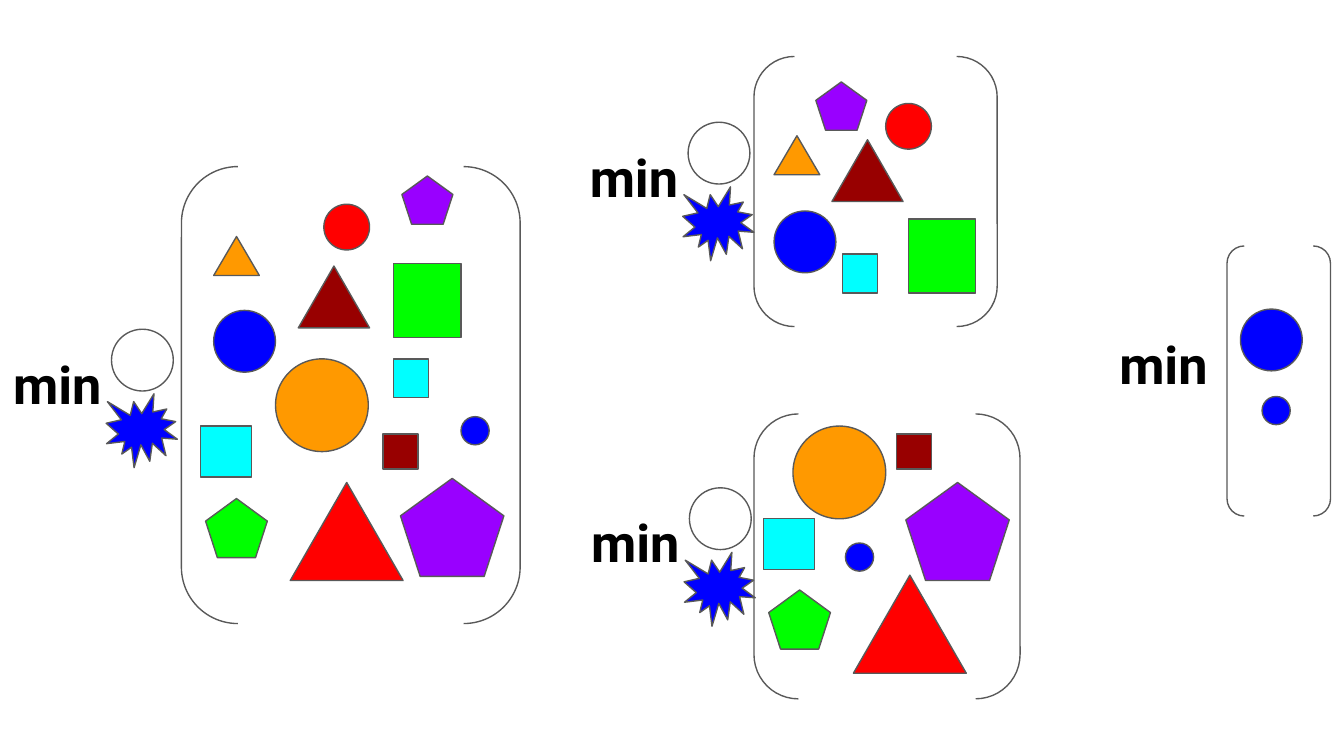
from dataclasses import dataclass
from typing import NamedTuple

from pptx import Presentation
from pptx.dml.color import RGBColor
from pptx.enum.shapes import MSO_SHAPE
from pptx.enum.text import MSO_ANCHOR, PP_ALIGN
from pptx.util import Inches, Pt


@dataclass(frozen=True)
class Theme:
    font: str = "Roboto"
    label_size: float = 28
    line_width: float = 0.75
    black: str = "000000"
    outline: str = "595959"
    maroon: str = "980000"
    red: str = "FF0000"
    orange: str = "FF9900"
    blue: str = "0000FF"
    green: str = "00FF00"
    cyan: str = "00FFFF"
    purple: str = "9900FF"


class Piece(NamedTuple):
    kind: MSO_SHAPE
    w: float
    h: float
    fill: str | None = None


class Spot(NamedTuple):
    piece: Piece
    x: float
    y: float


class Group(NamedTuple):
    bracket: tuple[float, float, float, float]
    label: tuple[float, float]
    has_criterion: bool
    spots: list[Spot]


T = Theme()

# Pieces, each used in one or more groups
RED_DOT = Piece(MSO_SHAPE.OVAL, 0.34, 0.34, T.red)
BLUE_DOT = Piece(MSO_SHAPE.OVAL, 0.46, 0.46, T.blue)
SMALL_DOT = Piece(MSO_SHAPE.OVAL, 0.21, 0.21, T.blue)
ORANGE_DOT = Piece(MSO_SHAPE.OVAL, 0.69, 0.69, T.orange)
ORANGE_TRI = Piece(MSO_SHAPE.ISOSCELES_TRIANGLE, 0.34, 0.29, T.orange)
MAROON_TRI = Piece(MSO_SHAPE.ISOSCELES_TRIANGLE, 0.53, 0.46, T.maroon)
RED_TRI = Piece(MSO_SHAPE.ISOSCELES_TRIANGLE, 0.84, 0.73, T.red)
MAROON_BOX = Piece(MSO_SHAPE.RECTANGLE, 0.26, 0.26, T.maroon)
GREEN_BOX = Piece(MSO_SHAPE.RECTANGLE, 0.5, 0.55, T.green)
CYAN_BOX = Piece(MSO_SHAPE.RECTANGLE, 0.38, 0.38, T.cyan)
SMALL_CYAN = Piece(MSO_SHAPE.RECTANGLE, 0.26, 0.29, T.cyan)
GREEN_PENT = Piece(MSO_SHAPE.REGULAR_PENTAGON, 0.46, 0.44, T.green)
PURPLE_PENT = Piece(MSO_SHAPE.REGULAR_PENTAGON, 0.77, 0.73, T.purple)
SMALL_PENT = Piece(MSO_SHAPE.REGULAR_PENTAGON, 0.38, 0.36, T.purple)

# The criterion beside a label: any circle, blue
ANY_CIRCLE = Piece(MSO_SHAPE.OVAL, 0.46, 0.46)
BLUE_SPLASH = Piece(MSO_SHAPE.EXPLOSION1, 0.53, 0.55, T.blue)

GROUPS = [
    # Whole set
    Group((1.35, 1.24, 2.52, 3.4), (0, 2.52), True, [
        Spot(MAROON_BOX, 2.85, 3.23), Spot(RED_DOT, 2.41, 1.52),
        Spot(ORANGE_TRI, 1.59, 1.76), Spot(BLUE_DOT, 1.59, 2.31),
        Spot(SMALL_DOT, 3.43, 3.1), Spot(RED_TRI, 2.16, 3.59),
        Spot(MAROON_TRI, 2.22, 1.98), Spot(GREEN_BOX, 2.93, 1.96),
        Spot(CYAN_BOX, 1.49, 3.17), Spot(ORANGE_DOT, 2.05, 2.67),
        Spot(SMALL_CYAN, 2.93, 2.67), Spot(GREEN_PENT, 1.53, 3.71),
        Spot(PURPLE_PENT, 2.98, 3.56), Spot(SMALL_PENT, 2.99, 1.31),
    ]),
    # Upper half
    Group((5.61, 0.42, 1.81, 2.01), (4.29, 0.98), True, [
        Spot(RED_DOT, 6.59, 0.77), Spot(ORANGE_TRI, 5.76, 1.01),
        Spot(BLUE_DOT, 5.76, 1.57), Spot(MAROON_TRI, 6.19, 1.04),
        Spot(GREEN_BOX, 6.76, 1.63), Spot(SMALL_CYAN, 6.27, 1.89),
        Spot(SMALL_PENT, 6.07, 0.61),
    ]),
    # Lower half
    Group((5.61, 3.08, 1.98, 2.12), (4.3, 3.7), True, [
        Spot(MAROON_BOX, 6.67, 3.23), Spot(SMALL_DOT, 6.29, 4.04),
        Spot(RED_TRI, 6.35, 4.28), Spot(CYAN_BOX, 5.68, 3.86),
        Spot(ORANGE_DOT, 5.9, 3.17), Spot(GREEN_PENT, 5.72, 4.39),
        Spot(PURPLE_PENT, 6.74, 3.59),
    ]),
    # Results of the two halves
    Group((9.13, 1.83, 0.77, 2.01), (8.23, 2.37), False, [
        Spot(SMALL_DOT, 9.39, 2.95), Spot(BLUE_DOT, 9.23, 2.3),
    ]),
]


def add_piece(s, piece: Piece, x: float, y: float) -> None:
    sp = s.shapes.add_shape(piece.kind, Inches(x), Inches(y),
                            Inches(piece.w), Inches(piece.h))
    sp.shadow.inherit = False
    if piece.fill:
        sp.fill.solid()
        sp.fill.fore_color.rgb = RGBColor.from_string(piece.fill)
    else:
        sp.fill.background()
    sp.line.color.rgb = RGBColor.from_string(T.outline)
    sp.line.width = Pt(T.line_width)


def add_text(s, text: str, x: float, y: float, w: float, h: float, *,
             size: float = T.label_size, color: str = T.black,
             bold: bool = True) -> None:
    tf = s.shapes.add_textbox(Inches(x), Inches(y), Inches(w), Inches(h)).text_frame
    tf.word_wrap = True
    tf.vertical_anchor = MSO_ANCHOR.TOP
    tf.margin_left = tf.margin_right = Inches(0.1)
    tf.margin_top = tf.margin_bottom = Inches(0.1)
    p = tf.paragraphs[0]
    p.alignment = PP_ALIGN.LEFT
    r = p.add_run()
    r.text = text
    r.font.name, r.font.size, r.font.bold = T.font, Pt(size), bold
    r.font.color.rgb = RGBColor.from_string(color)


def add_group(s, group: Group) -> None:
    x, y, w, h = group.bracket
    add_piece(s, Piece(MSO_SHAPE.DOUBLE_BRACKET, w, h), x, y)
    for spot in group.spots:
        add_piece(s, spot.piece, spot.x, spot.y)
    x, y = group.label
    add_text(s, "min", x, y, 1.03, 0.63)
    if group.has_criterion:
        add_piece(s, ANY_CIRCLE, x + 0.83, y - 0.07)
        add_piece(s, BLUE_SPLASH, x + 0.79, y + 0.41)


def main() -> None:
    prs = Presentation()
    # Widescreen, 16:9
    prs.slide_width = Inches(10)
    prs.slide_height = Inches(10 * 9 / 16)
    s = prs.slides.add_slide(prs.slide_layouts[6])
    for group in GROUPS:
        add_group(s, group)
    prs.save("out.pptx")


if __name__ == "__main__":
    main()
